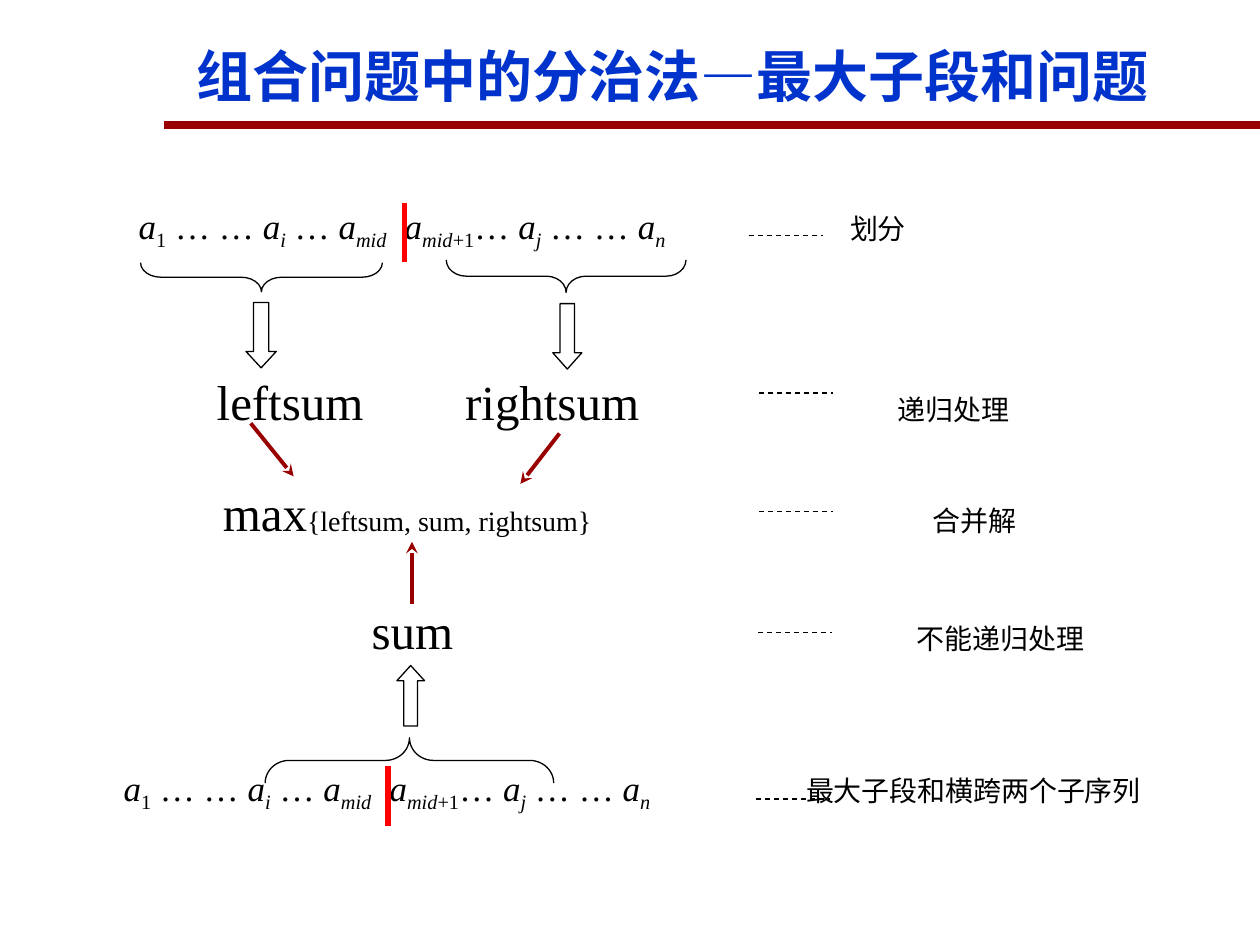
from lxml import etree
from pptx import Presentation
from pptx.dml.color import RGBColor
from pptx.enum import dml, shapes, text
from pptx.oxml.ns import qn
from pptx.util import Pt

BLACK = RGBColor(0x00, 0x00, 0x00)
BLUE = RGBColor(0x00, 0x33, 0xCC)
RED = RGBColor(0xFF, 0x00, 0x00)
DARK_RED = RGBColor(0x99, 0x00, 0x00)
LATIN, CJK = "Times New Roman", "Noto Sans CJK SC"

prs = Presentation()
prs.slide_width, prs.slide_height = Pt(720), Pt(540)
s = prs.slides.add_slide(prs.slide_layouts[6])


def add_line(x1, y1, x2, y2, color, width, dash=False, arrow=False):
    c = s.shapes.add_connector(shapes.MSO_CONNECTOR.STRAIGHT, Pt(x1), Pt(y1), Pt(x2), Pt(y2))
    c.line.color.rgb, c.line.width = color, Pt(width)
    if dash:
        c.line.dash_style = dml.MSO_LINE.DASH
    if arrow:
        etree.SubElement(c.line._get_or_add_ln(), qn("a:tailEnd"), type="stealth")
    etree.SubElement(c._element.spPr, qn("a:effectLst"))


def add_text(box, inset, tabs, runs, font=LATIN, color=BLACK):
    """Add one line of (text, size, style) runs; style holds i, b or s (subscript)."""
    tf = s.shapes.add_textbox(*map(Pt, box)).text_frame
    tf.word_wrap = True
    tf.margin_left, tf.margin_top = Pt(inset[0]), Pt(inset[1])
    tf.margin_right = tf.margin_bottom = 0
    p = tf.paragraphs[0]
    p.alignment = text.PP_ALIGN.JUSTIFY if tabs else text.PP_ALIGN.LEFT
    if tabs:
        tab_list = etree.SubElement(p._p.get_or_add_pPr(), qn("a:tabLst"))
        for pos in tabs:
            etree.SubElement(tab_list, qn("a:tab"), pos=str(int(Pt(pos))), algn="l")
    for words, size, style in runs:
        r = p.add_run()
        r.text = words
        r.font.name, r.font.size, r.font.color.rgb = font, Pt(size), color
        r.font.italic, r.font.bold = "i" in style, "b" in style
        rPr = r._r.get_or_add_rPr()
        if "s" in style:
            rPr.set("baseline", "-25000")
        etree.SubElement(rPr, qn("a:ea"), typeface=CJK)


# Title and rule
add_line(93.6, 71.3, 720, 71.3, DARK_RED, 4.5)
add_text((105.1, 20.2, 614.9, 46), (7.2, 3.6), [],
         [("组合问题中的分治法—最大子段和问题", 32, "b")], CJK, BLUE)

# The sequence, split at mid, at the top and bottom
sequence = [(words, 20, style) for words, style in [
    ("a", "i"), ("1", "s"), (" … … ", ""), ("a", "i"), ("i", "is"), (" … ", ""),
    ("a", "i"), ("mid", "is"), ("\t", ""), ("a", "i"), ("mid", "is"), ("+1", "s"),
    ("… ", ""), ("a", "i"), ("j", "is"), (" … … ", ""), ("a", "i"), ("n", "is")]]

# Text rows: box, left inset, tab stops, content, label
rows = [
    ((71.3, 116.6, 501, 34), 8, [152, 406.5], sequence, "划分"),
    ((113.8, 212.4, 580, 34), 10, [142, 389],
     [("leftsum\trightsum", 28, "")], "递归处理"),
    ((127.4, 275.8, 482, 34), 0, [405.5],
     [("max", 28, ""), ("{leftsum, sum, rightsum}", 16, "")], "合并解"),
    ((212.4, 343.4, 425, 34), 0, [311.5], [("sum", 28, "")], "不能递归处理"),
    ((70.6, 437.8, 612, 34), 0, [152, 390], sequence, "最大子段和横跨两个子序列"),
]
for box, left, tabs, runs, label in rows:
    add_text(box, (left, 0), tabs, runs + [("\t" + label, 16, "")])

for x, y in [(427.8, 134.6), (433.6, 224.6), (433.6, 292.4), (433.1, 361.5), (432, 456.5)]:
    add_line(x, y, x + 42.4, y, BLACK, 0.75, dash=True)

for x, y in [(231.1, 115.9), (221.8, 437.8)]:
    add_line(x, y, x, y + 34, RED, 3)

# Braces and block arrows: kind, box, adjustments, rotation
kinds = shapes.MSO_SHAPE
outlines = [
    (kinds.LEFT_BRACE, (141.1, 89.3, 16.6, 138.2), (0.7, 0.5), 270),
    (kinds.LEFT_BRACE, (314.2, 89.3, 18.6, 137), (0.61, 0.5), 270),
    (kinds.LEFT_BRACE, (221, 352.1, 25.9, 164.9), (0.53, 0.5), 90),
    (kinds.DOWN_ARROW, (140.6, 172.8, 17.3, 37.4), (0.5, 0.54), 0),
    (kinds.DOWN_ARROW, (315.9, 173.5, 16.6, 37.4), (0.5, 0.56), 0),
    (kinds.UP_ARROW, (226.8, 380.3, 15.8, 34.6), (0.5, 0.55), 0),
]
for kind, box, adjustments, rotation in outlines:
    sp = s.shapes.add_shape(kind, *map(Pt, box))
    sp.shadow.inherit = False
    sp.fill.background()
    sp.line.color.rgb, sp.line.width = BLACK, Pt(0.75)
    sp.rotation = rotation
    for i, value in enumerate(adjustments):
        sp.adjustments[i] = value

# Arrows into max
for ends in [(143.3, 241.9, 167.8, 272.2), (319.7, 247.7, 297.4, 276.5),
             (235.4, 344.9, 235.4, 309.6)]:
    add_line(*ends, DARK_RED, 2.25, arrow=True)

prs.save("out.pptx")
